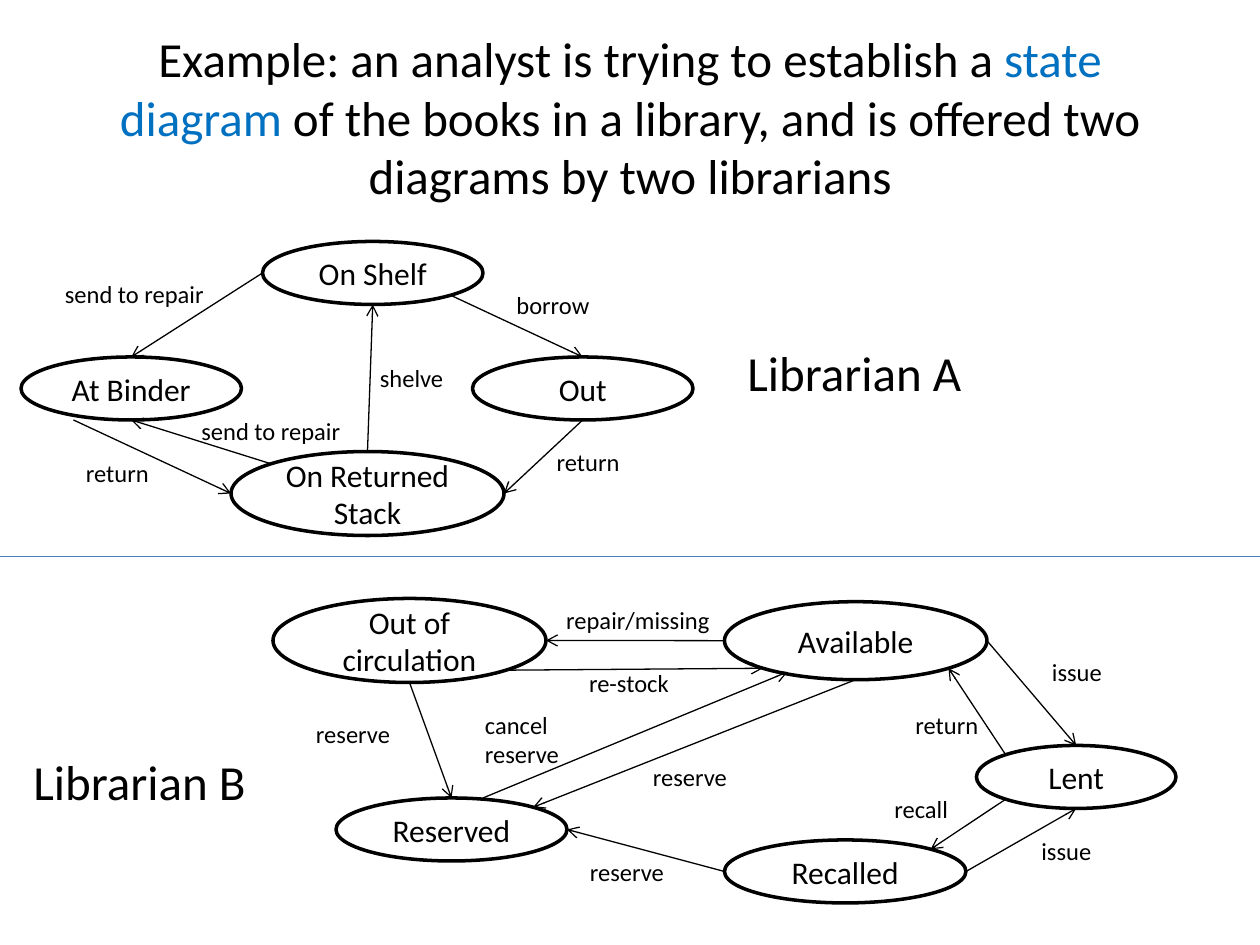
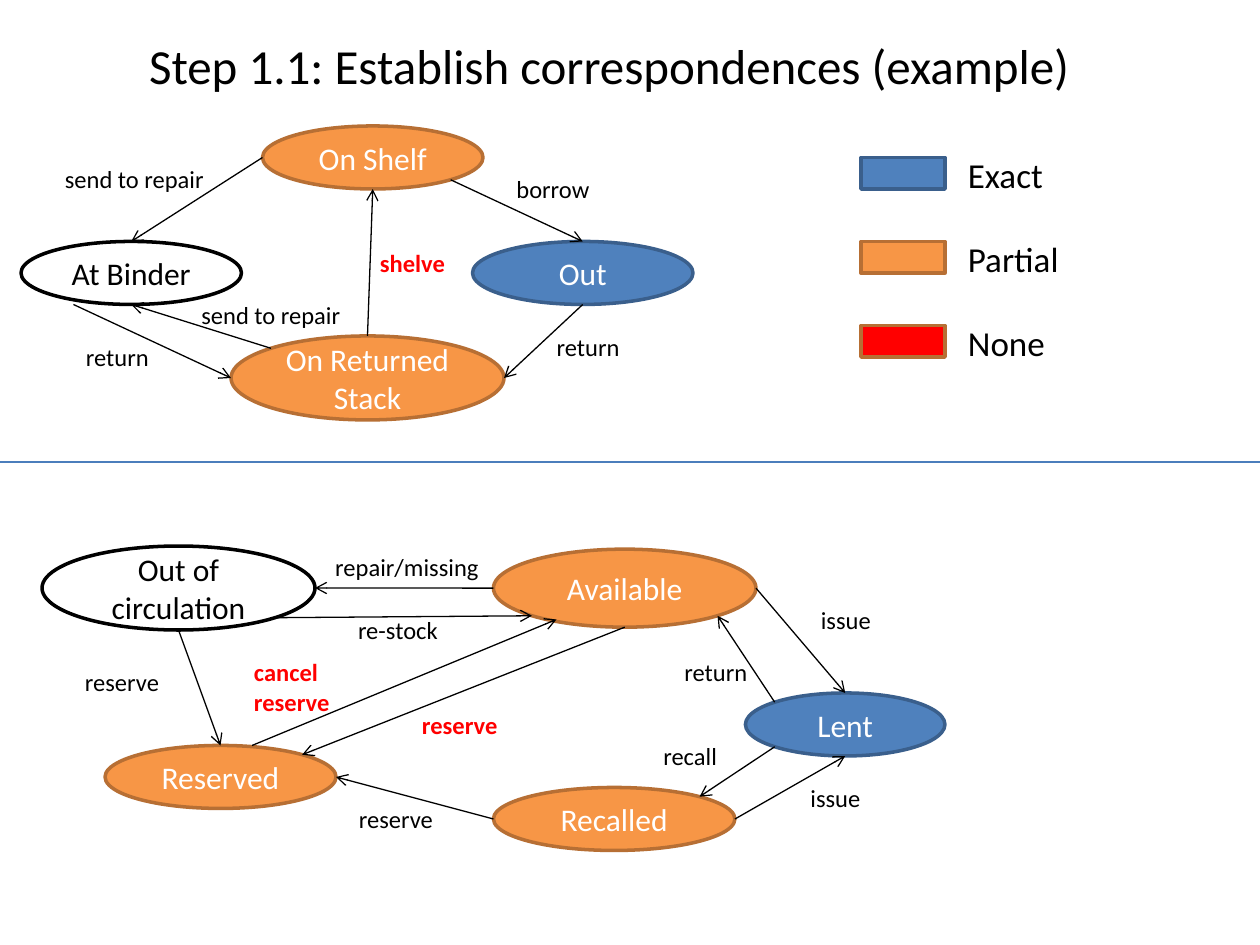
from math import sqrt

from lxml.etree import SubElement
from pptx import Presentation
from pptx.dml.color import RGBColor
from pptx.enum.shapes import MSO_CONNECTOR, MSO_SHAPE
from pptx.enum.text import MSO_ANCHOR, MSO_AUTO_SIZE, PP_ALIGN
from pptx.oxml.ns import qn
from pptx.util import Pt

FONT = "Calibri"
BLACK, WHITE, RED, TERM_BLUE = "000000", "FFFFFF", "FF0000", "0070C0"
DIVIDER = "4B7EBC"
# Fill, outline and text colour of each kind of correspondence
PLAIN = (WHITE, BLACK, BLACK)
EXACT = ("4F81BD", "3A5F8C", WHITE)
PARTIAL = ("F79646", "B76F34", WHITE)
MISSING = (RED, "B76F34", WHITE)


def rgb(hex_colour):
    return RGBColor.from_string(hex_colour)


def format_text(frame, size, colour, bold=False, align=PP_ALIGN.LEFT):
    for paragraph in frame.paragraphs:
        paragraph.alignment = align
        for run in paragraph.runs:
            run.font.name = FONT
            run.font.size = Pt(size)
            run.font.bold = bold
            run.font.color.rgb = rgb(colour)


# States: librarian, left, top, width, height, correspondence
states = {
    "On Shelf": ("A", 150, 138, 126, 36, PARTIAL),
    "At Binder": ("A", 12, 204, 126, 36, PLAIN),
    "On Returned Stack": ("A", 132, 258, 156, 48, PARTIAL),
    "Out": ("A", 270, 204, 126, 36, EXACT),
    "Reserved": ("B", 192, 456, 132, 36, PARTIAL),
    "Available": ("B", 414, 343.8, 150, 44.6, PARTIAL),
    "Lent": ("B", 558, 426, 114, 36, EXACT),
    "Recalled": ("B", 414, 480, 138, 36, PARTIAL),
    "Out of circulation": ("B", 156, 342, 156, 48, PLAIN),
}

# Transitions join compass points of two states, or start or end at a free point
transitions = [
    (("On Shelf", "SE"), ("Out", "N")),
    (("Out", "S"), ("On Returned Stack", "E")),
    (("On Returned Stack", "N"), ("On Shelf", "S")),
    (("On Shelf", "W"), ("At Binder", "N")),
    (("On Returned Stack", "NW"), ("At Binder", "S")),
    (("A", 42, 240), ("On Returned Stack", "W")),
    (("Available", "W"), ("Out of circulation", "E")),
    (("Out of circulation", "SE"), ("Available", "SW")),
    (("Out of circulation", "S"), ("Reserved", "N")),
    (("Recalled", "W"), ("Reserved", "E")),
    (("Available", "S"), ("Reserved", "NE")),
    (("B", 276, 456), ("B", 450, 384)),
    (("Available", "E"), ("Lent", "N")),
    (("Recalled", "E"), ("Lent", "S")),
    (("Lent", "NW"), ("Available", "SE")),
    (("Lent", "SW"), ("Recalled", "NE")),
]
diagonal = sqrt(0.5)
compass = {
    "N": (0, -1), "S": (0, 1), "W": (-1, 0), "E": (1, 0),
    "NW": (-diagonal, -diagonal), "NE": (diagonal, -diagonal),
    "SW": (-diagonal, diagonal), "SE": (diagonal, diagonal),
}

# Transition names: librarian, text, left, top, width, has no correspondence
transition_names = [
    ("A", "borrow", 288, 162, 57, False),
    ("A", "return", 311, 252, 51, False),
    ("A", "shelve", 210, 204, 53, True),
    ("A", "send to repair", 30, 156, 95, False),
    ("A", "send to repair", 108, 234, 95, False),
    ("A", "return", 42, 258, 51, False),
    ("B", "repair/missing", 316.5, 342, 97, False),
    ("B", "re-stock", 329.5, 378, 60, False),
    ("B", "reserve", 173.5, 407.5, 58, False),
    ("B", "reserve", 330, 486, 58, False),
    ("B", "reserve", 366, 432, 59, True),
    ("B", "cancel\nreserve", 270, 402, 59, True),
    ("B", "issue", 594, 372, 43, False),
    ("B", "issue", 588, 474, 43, False),
    ("B", "return", 516, 402, 51, False),
    ("B", "recall", 504, 450, 45, False),
]

# Legend of the correspondences
legend = [("Exact", EXACT, 58), ("Partial", PARTIAL, 72), ("None", MISSING, 59)]
legend_pitch = 48

# What differs between the slides; shifts move each librarian's diagram
pages = [
    {
        "title": [
            ("Example: an analyst is trying to establish a ", BLACK),
            ("state diagram", TERM_BLUE),
            (" of the books in a library, and is offered two diagrams by two librarians", BLACK),
        ],
        "title_box": (36, 21.6, 648, 90),
        "shifts": {"A": (0, 0), "B": (0, 0)},
        "divider_y": 318,
        "compared": False,
    },
    {
        "title": [("Step 1.1: Establish correspondences (example)", BLACK)],
        "title_box": (24, 12, 648, 50),
        "shifts": {"A": (0, -66), "B": (-132, -30)},
        "divider_y": 264,
        "compared": True,
    },
]

presentation = Presentation()
presentation.slide_width, presentation.slide_height = Pt(720), Pt(540)
title_only = presentation.slide_layouts[5]

for page in pages:
    slide = presentation.slides.add_slide(title_only)
    shifts, compared = page["shifts"], page["compared"]

    # Title
    title = slide.shapes.title
    title.left, title.top, title.width, title.height = map(Pt, page["title_box"])
    title.text_frame.vertical_anchor = MSO_ANCHOR.MIDDLE
    title.text_frame.auto_size = MSO_AUTO_SIZE.NONE
    for words, colour in page["title"]:
        title.text_frame.paragraphs[0].add_run().text = words
    format_text(title.text_frame, 28, BLACK, align=PP_ALIGN.CENTER)
    for run, (words, colour) in zip(title.text_frame.paragraphs[0].runs, page["title"]):
        run.font.color.rgb = rgb(colour)

    # States and legend swatches
    blocks = []
    for state, (librarian, left, top, width, height, match) in states.items():
        dx, dy = shifts[librarian]
        blocks.append((MSO_SHAPE.OVAL, state, left + dx, top + dy, width, height,
                       match if compared else PLAIN))
    if compared:
        for row, (meaning, match, width) in enumerate(legend):
            blocks.append((MSO_SHAPE.RECTANGLE, "", 492, 90 + row * legend_pitch, 48, 18, match))
    for outline, state, left, top, width, height, (fill, line, ink) in blocks:
        block = slide.shapes.add_shape(outline, Pt(left), Pt(top), Pt(width), Pt(height))
        block.shadow.inherit = False
        block.fill.solid()
        block.fill.fore_color.rgb = rgb(fill)
        block.line.color.rgb = rgb(line)
        block.line.width = Pt(2)
        block.text_frame.text = state
        block.text_frame.vertical_anchor = MSO_ANCHOR.MIDDLE
        format_text(block.text_frame, 18, ink, align=PP_ALIGN.CENTER)

    # Transitions and the divider between the librarians
    lines = [((0, page["divider_y"]), (720, page["divider_y"]), DIVIDER)]
    for ends in transitions:
        points = []
        for place, *position in ends:
            if place in states:
                librarian, left, top, width, height, match = states[place]
                across, down = compass[position[0]]
                x = left + width / 2 * (1 + across)
                y = top + height / 2 * (1 + down)
            else:
                librarian, (x, y) = place, position
            dx, dy = shifts[librarian]
            points.append((x + dx, y + dy))
        lines.append((*points, BLACK))
    for start, end, colour in lines:
        connector = slide.shapes.add_connector(
            MSO_CONNECTOR.STRAIGHT, *map(Pt, start), *map(Pt, end))
        connector.line.color.rgb = rgb(colour)
        connector.line.width = Pt(0.75)
        if colour == BLACK:
            SubElement(connector.line._get_or_add_ln(), qn("a:tailEnd"), type="arrow")
        SubElement(connector._element.spPr, qn("a:effectLst"))

    # Transition names, then librarian names or legend meanings
    labels = []
    for librarian, name, left, top, width, unmatched in transition_names:
        dx, dy = shifts[librarian]
        height = 41 if "\n" in name else 24.5
        labels.append((name, left + dx, top + dy, width, height, 14, compared and unmatched))
    if compared:
        for row, (meaning, match, width) in enumerate(legend):
            labels.append((meaning, 546, 84 + row * legend_pitch, width, 31.5, 20, False))
    else:
        labels.append(("Librarian A", 420, 192, 258, 41, 28, False))
        labels.append(("Librarian B", 12, 426, 258, 41, 28, False))
    for words, left, top, width, height, size, highlighted in labels:
        label = slide.shapes.add_textbox(Pt(left), Pt(top), Pt(width), Pt(height))
        label.text_frame.text = words
        label.text_frame.word_wrap = size == 28
        label.text_frame.auto_size = MSO_AUTO_SIZE.SHAPE_TO_FIT_TEXT
        format_text(label.text_frame, size, RED if highlighted else BLACK, highlighted)

presentation.save("out.pptx")
